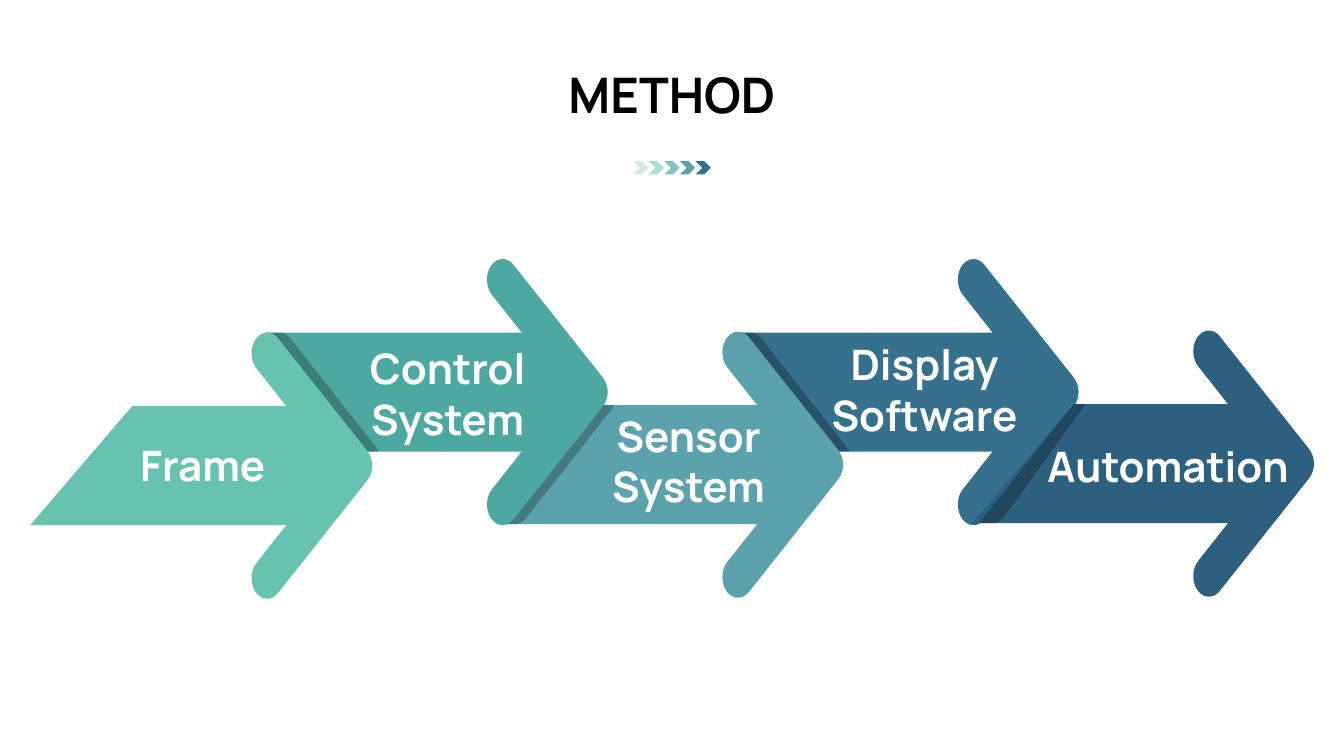
from lxml import etree
from pptx import Presentation
from pptx.dml.color import RGBColor
from pptx.enum.shapes import MSO_SHAPE
from pptx.enum.text import MSO_ANCHOR, MSO_AUTO_SIZE, PP_ALIGN
from pptx.oxml.ns import qn
from pptx.util import Inches, Pt

CHEVRON = MSO_SHAPE.CHEVRON
TOP, BOTTOM = MSO_ANCHOR.TOP, MSO_ANCHOR.BOTTOM
CENTER = PP_ALIGN.CENTER
NO_AUTOFIT = MSO_AUTO_SIZE.NONE

FONT = "Manrope"
TITLE = "METHOD"
TITLE_BOX = (5.51, 0.59, 2.31, 0.69)
CHEVRON_COLORS = ["D2EBDE", "ADDED4", "83C5C1", "5BA2AC", "35708C"]

# Step: colour, middle of the arrow, fold inset, label, label box
STEPS = [
    ("67C2AF", 4.62, 0, "Frame", (1.16, 4.3, 1.7, 0.61)),
    ("4EA8A2", 3.89, 0, "Control\nSystem", (3.28, 3.34, 2.32, 1.11)),
    ("5BA2AC", 4.61, 0, "Sensor System", (5.88, 4.01, 1.9, 1.11)),
    ("35708C", 3.89, 0, "Display Software", (8.07, 3.3, 2.2, 1.11)),
    ("2C607E", 4.6, 0.07, "Automation", (10.14, 4.31, 2.89, 0.61)),
]
DRAW_ORDER = [3, 2, 1, 0, 4]
FIRST_LEFT, LAST_LEFT = 0.3, 9.64
STEP_PITCH = (LAST_LEFT - FIRST_LEFT) / (len(STEPS) - 1)

# Outlines run from the tail corner; x from the left, y from the middle.
# A pair is a line's end, a triple of pairs is a curve.
ARROW_SIZE = (3.39, 2.64)
ARROW = [
    (0, 0.59), (1.01, -0.59), (2.54, -0.59), (2.24, -0.97),
    ((2.18, -1.05), (2.18, -1.18), (2.24, -1.26)),
    ((2.27, -1.30), (2.31, -1.32), (2.35, -1.32)),
    ((2.39, -1.32), (2.43, -1.30), (2.46, -1.26)),
    (3.34, -0.15),
    ((3.41, -0.06), (3.41, 0.06), (3.34, 0.15)),
    (2.46, 1.26),
    ((2.40, 1.34), (2.30, 1.34), (2.24, 1.26)),
    ((2.18, 1.18), (2.18, 1.05), (2.24, 0.97)),
    (2.54, 0.59),
]
FOLD_SIZE = (1.12, 1.18)
FOLD = [
    (0, 0.59), (1.01, -0.59), (1.12, -0.59), (1.12, -0.58), (0.24, 0.54),
    ((0.22, 0.56), (0.20, 0.57), (0.18, 0.58)),
    (0.16, 0.59),
]


def color(value):
    return RGBColor.from_string(value)


def paint(shape, fill, opacity=None):
    shape.shadow.inherit = False
    shape.fill.solid()
    shape.fill.fore_color.rgb = color(fill)
    shape.line.fill.background()
    if opacity is not None:
        fill_color = shape._element.spPr.find(qn("a:solidFill"))[0]
        etree.SubElement(fill_color, qn("a:alpha"), val=str(opacity * 1000))


def add_outline(slide, outline, size, left, middle, direction, inset=0):
    """Add a freeform of lines and curves; direction -1 turns it upside down."""
    width, height = size
    top = middle - height / 2
    right, bottom = left + width, top + height
    builder = slide.shapes.build_freeform(Inches(left + inset), Inches(top))
    builder.add_line_segments([(Inches(right), Inches(bottom))], close=True)
    shape = builder.convert_to_shape()

    path = shape._element.spPr.find(".//" + qn("a:path"))
    for command in list(path):
        path.remove(command)
    for index, part in enumerate(outline):
        is_curve = isinstance(part[0], tuple)
        tag = "a:moveTo" if index == 0 else "a:cubicBezTo" if is_curve else "a:lnTo"
        command = etree.SubElement(path, qn(tag))
        for x, y in part if is_curve else [part]:
            local_x = x if y > 0 else x - inset
            local_y = height / 2 + direction * y
            etree.SubElement(
                command, qn("a:pt"), x=str(Inches(local_x)), y=str(Inches(local_y))
            )
    etree.SubElement(path, qn("a:close"))
    return shape


def write(shape, text, size, text_color, anchor, wrap):
    frame = shape.text_frame
    frame.text = text
    frame.auto_size = NO_AUTOFIT
    frame.word_wrap = wrap
    frame.vertical_anchor = anchor
    for paragraph in frame.paragraphs:
        paragraph.alignment = CENTER
        for run in paragraph.runs:
            run.font.name = FONT
            run.font.size = Pt(size)
            run.font.bold = True
            run.font.color.rgb = color(text_color)


def add_step(slide, index):
    fill, middle, inset, _, _ = STEPS[index]
    left = FIRST_LEFT + index * STEP_PITCH
    direction = 1 if index % 2 == 0 else -1
    paint(add_outline(slide, ARROW, ARROW_SIZE, left, middle, direction), fill)
    if index > 0:
        fold = add_outline(slide, FOLD, FOLD_SIZE, left, middle, direction, inset)
        paint(fold, "000000", opacity=25)


def main():
    presentation = Presentation()
    presentation.slide_width = Inches(13.33)
    presentation.slide_height = Inches(7.5)
    slide = presentation.slides.add_slide(presentation.slide_layouts[5])

    title = slide.shapes.title
    title.left, title.top, title.width, title.height = map(Inches, TITLE_BOX)
    write(title, TITLE, 35, "000000", TOP, wrap=False)

    for index, fill in enumerate(CHEVRON_COLORS):
        chevron = slide.shapes.add_shape(
            CHEVRON, Inches(6.28 + index * 0.155), Inches(1.6), Inches(0.15), Inches(0.13)
        )
        paint(chevron, fill)

    for index in DRAW_ORDER:
        add_step(slide, index)

    for _, _, _, text, box in STEPS:
        label = slide.shapes.add_textbox(*map(Inches, box))
        label.text_frame.margin_left = label.text_frame.margin_right = 0
        write(label, text, 30, "FFFFFF", BOTTOM, wrap=True)

    presentation.save("out.pptx")


if __name__ == "__main__":
    main()
